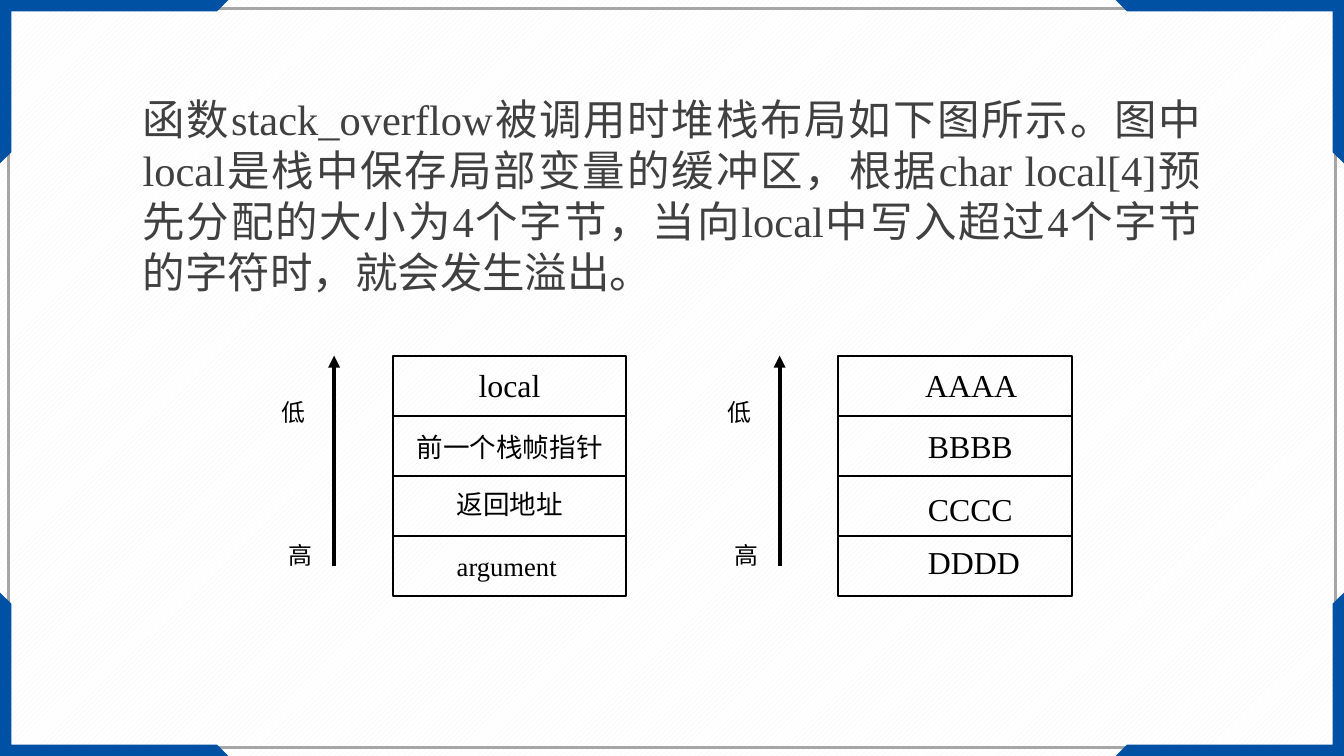
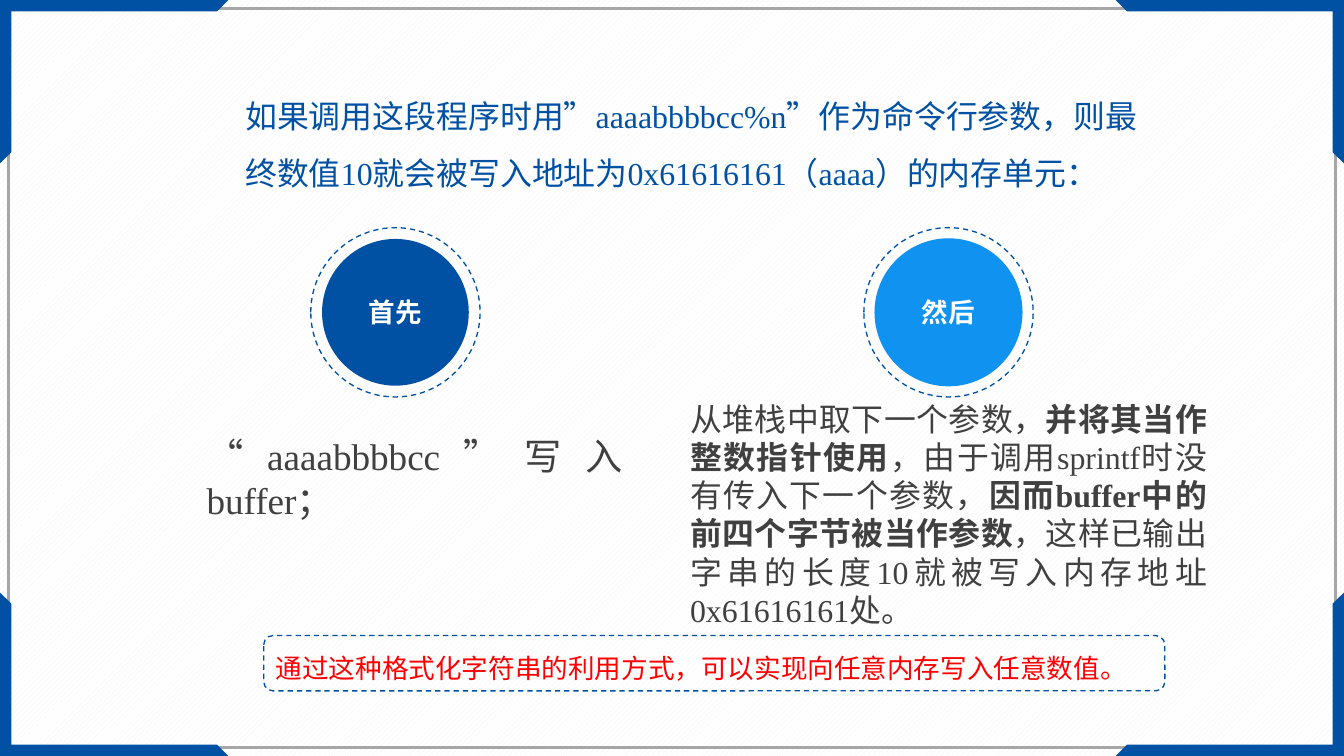
from lxml import etree
from pptx import Presentation
from pptx.dml.color import RGBColor
from pptx.enum.dml import MSO_LINE, MSO_PATTERN
from pptx.enum.lang import MSO_LANGUAGE_ID
from pptx.enum.shapes import MSO_CONNECTOR, MSO_SHAPE
from pptx.enum.text import MSO_ANCHOR, MSO_AUTO_SIZE, PP_ALIGN
from pptx.oxml.ns import qn
from pptx.util import Cm, Pt

RECTANGLE = MSO_SHAPE.RECTANGLE
ROUNDED = MSO_SHAPE.ROUNDED_RECTANGLE
OVAL = MSO_SHAPE.OVAL
STRAIGHT = MSO_CONNECTOR.STRAIGHT
DASH = MSO_LINE.DASH
DIAGONAL = MSO_PATTERN.WIDE_UPWARD_DIAGONAL
CHINESE = MSO_LANGUAGE_ID.SIMPLIFIED_CHINESE
LEFT, CENTER, JUSTIFY = PP_ALIGN.LEFT, PP_ALIGN.CENTER, PP_ALIGN.JUSTIFY
MIDDLE, BOTTOM = MSO_ANCHOR.MIDDLE, MSO_ANCHOR.BOTTOM
GROW = MSO_AUTO_SIZE.SHAPE_TO_FIT_TEXT

WIDTH, HEIGHT = 35.72, 20.09
LATIN_FONT, CHINESE_FONT = "Times New Roman", "Noto Sans CJK SC"
COLORS = {
    "blue": "0050A3",
    "sky": "1092F1",
    "body": "404040",
    "frame": "A6A6A6",
    "stripe": "F2F2F2",
    "white": "FFFFFF",
    "black": "000000",
    "red": "FF0000",
}
BODY_FRAME = {"word_wrap": True, "auto_size": GROW,
              "margin_left": Cm(0.23), "margin_right": Cm(0.23)}
HEADING_FRAME = {"word_wrap": True, "auto_size": GROW}
LABEL_FRAME = {"word_wrap": False, "auto_size": GROW}
CIRCLE_FRAME = {"word_wrap": False, "vertical_anchor": MIDDLE}
NOTE_FRAME = {"word_wrap": True, "vertical_anchor": BOTTOM}


def color(name):
    """Return the named colour of the palette."""
    return RGBColor.from_string(COLORS[name])


def set_values(target, values):
    """Set each attribute named in the values on the target."""
    for name, value in values.items():
        setattr(target, name, value)


def write(shape, runs, size, tint, frame, paragraph_format):
    """Write (text, run format) pairs as one paragraph of a shape."""
    set_values(shape.text_frame, frame)
    paragraph = shape.text_frame.paragraphs[0]
    set_values(paragraph, paragraph_format)
    for text, run_format in runs:
        run = paragraph.add_run()
        run.text = text
        run.font.color.rgb = color(tint)
        set_values(run.font, {"name": LATIN_FONT, "size": Pt(size),
                              "language_id": CHINESE, **run_format})
        properties = run.font._element
        etree.SubElement(properties, qn("a:ea"), typeface=CHINESE_FONT)


def add_text(slide, box, runs, size, tint, frame, **paragraph_format):
    """Add a text box."""
    shape = slide.shapes.add_textbox(*map(Cm, box))
    write(shape, runs, size, tint, frame, paragraph_format)


def style(shape, fill=None, line=None, width=1, dash=None):
    """Set fill and outline, leaving out whichever has no colour."""
    shape.shadow.inherit = False
    if fill:
        shape.fill.solid()
        shape.fill.fore_color.rgb = color(fill)
    else:
        shape.fill.background()
    if line:
        shape.line.color.rgb = color(line)
        set_values(shape.line, {"width": Pt(width), "dash_style": dash})
    else:
        shape.line.fill.background()
    return shape


def add_shape(slide, kind, box, **look):
    """Add a styled preset shape."""
    return style(slide.shapes.add_shape(kind, *map(Cm, box)), **look)


def add_corner(slide, right, bottom):
    """Add one bevelled corner bracket, mirrored to its side of the slide."""
    outline = [(0, 0), (6.07, 0), (5.77, 0.3), (0.3, 0.3), (0.3, 4.05), (0, 4.34)]
    points = [(Cm(WIDTH - x if right else x), Cm(HEIGHT - y if bottom else y))
              for x, y in outline]
    builder = slide.shapes.build_freeform(*points[0])
    builder.add_line_segments(points[1:])
    return style(builder.convert_to_shape(), fill="blue")


def set_up_layout(layout, slide):
    """Give the layout its striped background, frame and corner brackets."""
    fill = layout.background.fill
    fill.patterned()
    fill.pattern = DIAGONAL
    fill.fore_color.rgb = color("stripe")
    fill.back_color.rgb = color("white")
    tree = layout.element.cSld.spTree
    for placeholder in list(layout.placeholders):
        tree.remove(placeholder.element)
    margin = 0.23
    frame_box = (margin, margin, WIDTH - 2 * margin, HEIGHT - 2 * margin)
    parts = [add_shape(slide, RECTANGLE, frame_box, line="frame", width=2)]
    parts += [add_corner(slide, right, bottom)
              for right in (False, True) for bottom in (False, True)]
    for part in parts:
        tree.append(part.element)


def add_stack(slide, left, top, labels):
    """Add four memory cells, their labels and the address arrow."""
    cell_width, cell_height = 6.2, 1.6
    for row in range(len(labels)):
        box = (left + 3.2, top + row * cell_height, cell_width, cell_height)
        add_shape(slide, RECTANGLE, box, line="black", width=1.5)
    arrow_left = Cm(left + 1.64)
    arrow = slide.shapes.add_connector(
        STRAIGHT, arrow_left, Cm(top + 5.6), arrow_left, Cm(top))
    arrow.line.color.rgb = color("black")
    arrow.line.width = Pt(3)
    etree.SubElement(arrow.line._get_or_add_ln(), qn("a:tailEnd"), type="triangle")
    etree.SubElement(arrow.element.spPr, qn("a:effectLst"))
    address_labels = [("低", 18, 0, 1, 1.14), ("高", 18, 0.18, 4.8, 1.14)]
    for text, size, across, down, width in address_labels + labels:
        box = (left + across, top + down, width, size * 0.05 + 0.1)
        add_text(slide, box, [(text, {})], size, "black", LABEL_FRAME)


def add_step(slide, left, top, title, look):
    """Add a titled disc inside a dashed ring."""
    ring, gap = 4.5, 0.3
    add_shape(slide, OVAL, (left, top, ring, ring), line="blue", dash=DASH)
    disc_size = ring - 2 * gap
    disc = add_shape(slide, OVAL, (left + gap, top + gap, disc_size, disc_size), **look)
    write(disc, [(title, {"bold": True})], 20, "white", CIRCLE_FRAME,
          {"alignment": CENTER})


def build_stack_slide(slide):
    """Build the slide on the stack layout before and after overflow."""
    text = ("函数stack_overflow被调用时堆栈布局如下图所示。图中local是栈中保存局部变量的"
            "缓冲区，根据char local[4]预先分配的大小为4个字节，当向local中写入超过4个"
            "字节的字符时，就会发生溢出。")
    add_text(slide, (3.56, 2.34, 28.6, 5.72), [(text, {})], 32, "body",
             BODY_FRAME, alignment=JUSTIFY)
    add_stack(slide, 7.24, 9.45, [
        ("local", 24, 5.23, 0.13, 2.16),
        ("前一个栈帧指针", 20, 3.58, 1.88, 5.51),
        ("返回地址", 20, 4.65, 3.38, 3.35),
        ("argument", 20, 4.65, 5.05, 3.18),
    ])
    add_stack(slide, 19.08, 9.45, [
        ("AAAA", 24, 5.26, 0.13, 3),
        ("BBBB", 24, 5.33, 1.75, 2.79),
        ("CCCC", 24, 5.33, 3.43, 2.79),
        ("DDDD", 24, 5.33, 4.85, 3),
    ])


def build_format_slide(slide):
    """Build the slide on the two steps of the format string write."""
    bold = {"bold": True}
    add_step(slide, 8.26, 6.05, "首先", {"fill": "blue"})
    add_text(slide, (5.26, 11.38, 11.51, 1.45), [("“aaaabbbbcc”写入buffer；", {})],
             28, "body", BODY_FRAME, alignment=JUSTIFY)
    add_step(slide, 22.96, 6.05, "然后", {"fill": "sky", "line": "sky"})
    add_text(slide, (18.11, 10.49, 14.2, 6.4), [
        ("从堆栈中取下一个参数，", {}),
        ("并将其当作整数指针使用", bold),
        ("，由于调用sprintf时没有传入下一个参数，", {}),
        ("因而buffer中的前四个字节被当作参数", bold),
        ("，这样已输出字串的长度10就被写入内存地址0x61616161处。", {}),
    ], 24, "body", BODY_FRAME, alignment=JUSTIFY)
    add_text(slide, (6.27, 1.93, 24.66, 3.33), [
        ("如果调用这段程序时用”aaaabbbbcc%n", {}),
        ("”", {"name": CHINESE_FONT}),
        ("作为命令行参数，则最终数值10就会被写入地址为0x61616161（aaaa）的内存单元：", {}),
    ], 24, "blue", HEADING_FRAME, line_spacing=1.5)
    note = add_shape(slide, ROUNDED, (7.01, 16.89, 23.95, 1.47), line="blue", dash=DASH)
    write(note, [("通过这种格式化字符串的利用方式，可以实现向任意内存写入任意数值。", {})],
          20, "red", NOTE_FRAME, {"alignment": LEFT})


def main():
    """Build and save the presentation."""
    presentation = Presentation()
    presentation.slide_width, presentation.slide_height = Cm(WIDTH), Cm(HEIGHT)
    layout = presentation.slide_layouts[6]
    stack_slide, format_slide = [presentation.slides.add_slide(layout) for _ in range(2)]
    set_up_layout(layout, stack_slide)
    build_stack_slide(stack_slide)
    build_format_slide(format_slide)
    presentation.save("out.pptx")


if __name__ == "__main__":
    main()
